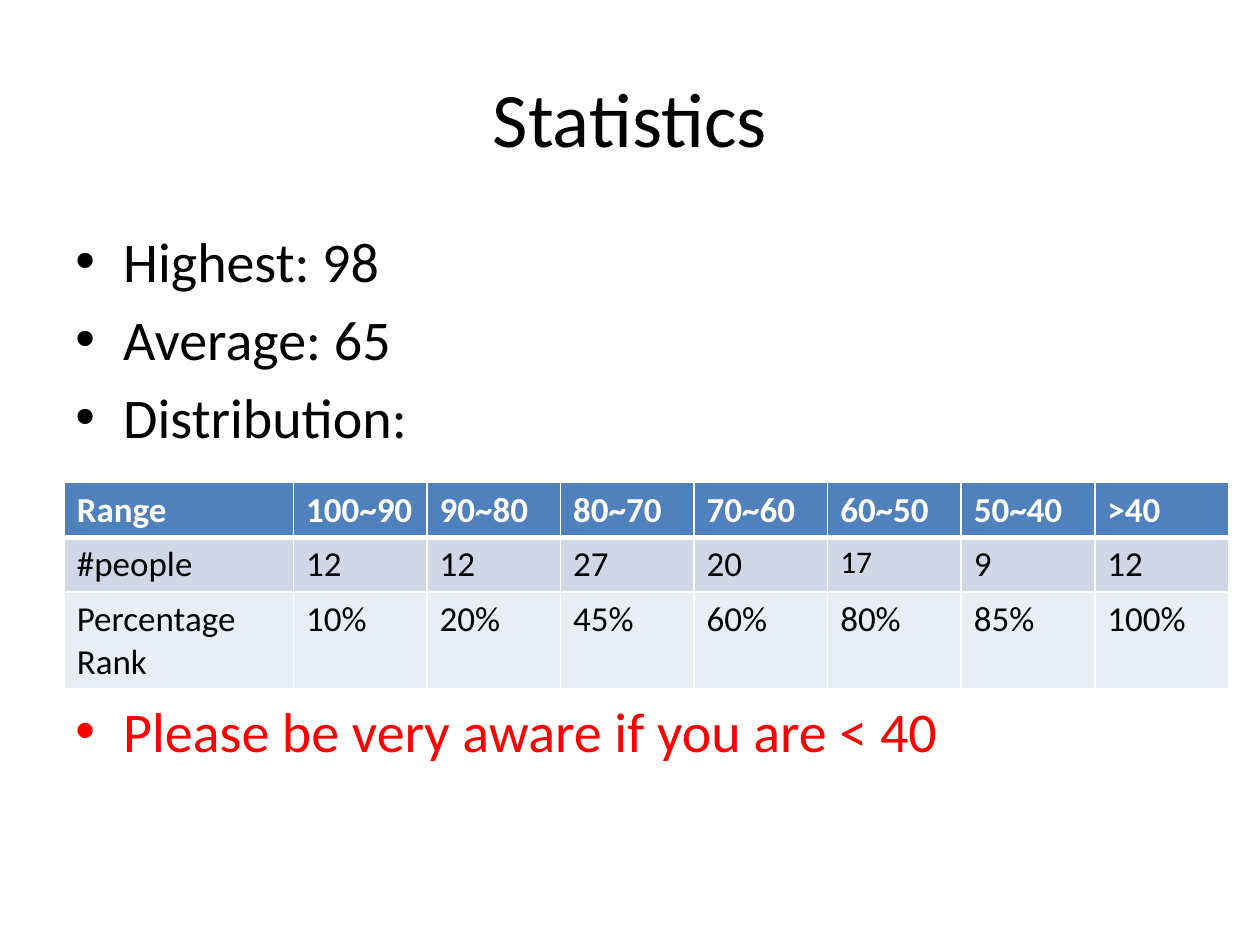
from dataclasses import dataclass

from lxml import etree
from pptx import Presentation
from pptx.dml.color import RGBColor
from pptx.enum.text import MSO_ANCHOR, PP_ALIGN
from pptx.oxml.ns import qn
from pptx.util import Inches, Pt

CENTER = PP_ALIGN.CENTER
MIDDLE = MSO_ANCHOR.MIDDLE
TOP = MSO_ANCHOR.TOP


@dataclass(frozen=True)
class Theme:
    font: str = "Calibri"
    black: str = "000000"
    white: str = "FFFFFF"
    red: str = "FF0000"
    title_size: int = 44
    body_size: int = 32
    table_size: int = 20
    small_size: int = 18
    line_pitch: int = 45
    bullet_gap: int = 6
    bullet_indent: float = 0.38


@dataclass(frozen=True)
class Box:
    left: float
    top: float
    width: float
    height: float


@dataclass(frozen=True)
class Bullet:
    text: str
    color: str
    skipped_lines: int = 0


@dataclass(frozen=True)
class Row:
    values: tuple[str, ...]
    height: float
    fill: str
    color: str
    bold: bool = False
    bottom_border: float = 1


THEME = Theme()
WIDTH, HEIGHT = 10, 7.5
MARGIN = 0.05 * WIDTH
CONTENT_WIDTH = WIDTH - 2 * MARGIN
TITLE_BOX = Box(MARGIN, 0.04 * HEIGHT, CONTENT_WIDTH, 1.25)
BODY_BOX = Box(MARGIN, 1.75, CONTENT_WIDTH, 4.95)
TABLE_LEFT, TABLE_TOP = 0.51, 3.83
LABEL_WIDTH, VALUE_WIDTH = 1.82, 1.06
SMALL_CELL = (1, 5)

BULLETS = (
    Bullet("Highest: 98", THEME.black),
    Bullet("Average: 65", THEME.black),
    Bullet("Distribution:", THEME.black),
    Bullet("Please be very aware if you are < 40", THEME.red, skipped_lines=3),
)

ROWS = (
    Row(("Range", "100~90", "90~80", "80~70", "70~60", "60~50", "50~40", ">40"),
        0.41, "4F81BD", THEME.white, bold=True, bottom_border=3),
    Row(("#people", "12", "12", "27", "20", "17", "9", "12"),
        0.41, "D0D8E8", THEME.black),
    Row(("Percentage Rank", "10%", "20%", "45%", "60%", "80%", "85%", "100%"),
        0.77, "E9EDF4", THEME.black),
)


def format_runs(paragraph, size: int, color: str, bold: bool = False) -> None:
    for run in paragraph.runs:
        run.font.name = THEME.font
        run.font.size = Pt(size)
        run.font.bold = bold
        run.font.color.rgb = RGBColor.from_string(color)


def add_text_frame(slide, box: Box, anchor):
    shape = slide.shapes.add_textbox(
        Inches(box.left), Inches(box.top), Inches(box.width), Inches(box.height))
    text_frame = shape.text_frame
    text_frame.word_wrap = True
    text_frame.vertical_anchor = anchor
    return text_frame


def add_title(slide, text: str) -> None:
    text_frame = add_text_frame(slide, TITLE_BOX, MIDDLE)
    text_frame.text = text
    paragraph = text_frame.paragraphs[0]
    paragraph.alignment = CENTER
    format_runs(paragraph, THEME.title_size, THEME.black)


def set_bullet(paragraph) -> None:
    properties = paragraph._p.get_or_add_pPr()
    indent = Inches(THEME.bullet_indent)
    properties.set("marL", str(indent))
    properties.set("indent", str(-indent))
    etree.SubElement(properties, qn("a:buFont"), typeface="Arial")
    etree.SubElement(properties, qn("a:buChar"), char="•")


def add_bullets(slide, bullets: tuple[Bullet, ...]) -> None:
    text_frame = add_text_frame(slide, BODY_BOX, TOP)
    text_frame.text = "\n".join(bullet.text for bullet in bullets)
    for paragraph, bullet in zip(text_frame.paragraphs, bullets):
        paragraph.space_before = Pt(
            THEME.bullet_gap + bullet.skipped_lines * THEME.line_pitch)
        set_bullet(paragraph)
        format_runs(paragraph, THEME.body_size, bullet.color)


def set_borders(cell, top: float, bottom: float) -> None:
    properties = cell._tc.get_or_add_tcPr()
    for side, width in (("L", 1), ("R", 1), ("T", top), ("B", bottom)):
        line = etree.SubElement(properties, qn(f"a:ln{side}"), w=str(Pt(width)))
        fill = etree.SubElement(line, qn("a:solidFill"))
        etree.SubElement(fill, qn("a:srgbClr"), val=THEME.white)


def add_table(slide, rows: tuple[Row, ...]) -> None:
    column_count = len(rows[0].values)
    widths = [LABEL_WIDTH] + [VALUE_WIDTH] * (column_count - 1)
    table = slide.shapes.add_table(
        len(rows), column_count, Inches(TABLE_LEFT), Inches(TABLE_TOP),
        Inches(sum(widths)), Inches(sum(row.height for row in rows))).table
    for column, width in zip(table.columns, widths):
        column.width = Inches(width)
    top_border = 1
    for row_index, row in enumerate(rows):
        table.rows[row_index].height = Inches(row.height)
        for column_index, value in enumerate(row.values):
            cell = table.cell(row_index, column_index)
            cell.text_frame.text = value
            small = (row_index, column_index) == SMALL_CELL
            size = THEME.small_size if small else THEME.table_size
            format_runs(cell.text_frame.paragraphs[0], size, row.color, row.bold)
            set_borders(cell, top_border, row.bottom_border)
            cell.fill.solid()
            cell.fill.fore_color.rgb = RGBColor.from_string(row.fill)
        top_border = row.bottom_border


presentation = Presentation()
presentation.slide_width = Inches(WIDTH)
presentation.slide_height = Inches(HEIGHT)
slide = presentation.slides.add_slide(presentation.slide_layouts[6])
add_title(slide, "Statistics")
add_bullets(slide, BULLETS)
add_table(slide, ROWS)
presentation.save("out.pptx")
